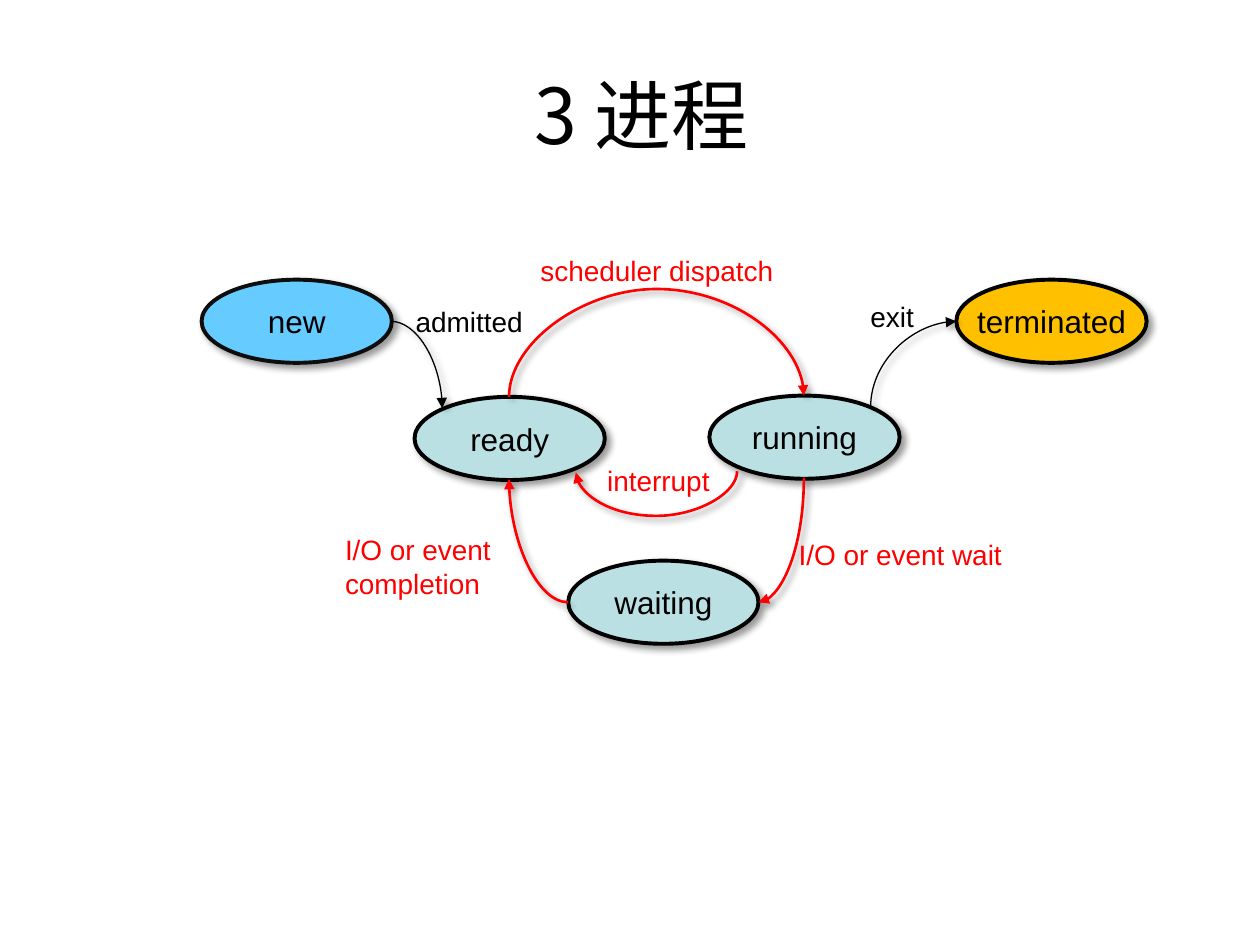
from pptx import Presentation, oxml
from pptx.dml.color import RGBColor
from pptx.enum import shapes, text
from pptx.oxml import ns
from pptx.util import Inches, Pt

COLORS = {
    "black": "000000", "edge": "0D0D0D", "red": "FF0000",
    "blue": "66CCFF", "teal": "BBE0E3", "amber": "FFC000",
}
SHADOW = (
    f'<a:effectLst {ns.nsdecls("a")}>'
    f'<a:outerShdw blurRad="{Pt(4)}" dist="{Pt(3)}" dir="2700000" algn="tl" rotWithShape="0">'
    f'<a:srgbClr val="{COLORS["black"]}"><a:alpha val="40000"/></a:srgbClr>'
    '</a:outerShdw></a:effectLst>'
)
ARROWHEAD = f'<a:tailEnd {ns.nsdecls("a")} type="triangle"/>'
STATE_SIZE = (1.51, 0.66)


def rgb(name):
    return RGBColor.from_string(COLORS[name])


def apply(target, values):
    for name, value in values.items():
        setattr(target, name, value)


class Diagram:
    font = "Arial"
    title_font = "Noto Sans CJK SC"

    def __init__(self, slide):
        self.slide = slide

    def fill_text(self, frame, lines, size, color="black", align=None, font=None, **frame_format):
        apply(frame, frame_format)
        frame.text = "\n".join(lines)
        for paragraph in frame.paragraphs:
            paragraph.alignment = align
            for run in paragraph.runs:
                apply(run.font, {"size": Pt(size), "name": font or self.font})
                run.font.color.rgb = rgb(color)
                if font:
                    east_asian = oxml.parse_xml(f'<a:ea {ns.nsdecls("a")} typeface="{font}"/>')
                    run.font._element.append(east_asian)

    def stroke(self, line, color, width):
        line.color.rgb = rgb(color)
        line.width = Pt(width)

    def add_shadow(self, element):
        element.spPr.append(oxml.parse_xml(SHADOW))

    def text_box(self, left, top, width, height):
        box = self.slide.shapes.add_textbox(*map(Inches, (left, top, width, height)))
        return box.text_frame

    def title(self, words, *place):
        self.fill_text(self.text_box(*place), [words], 44, align=text.PP_ALIGN.CENTER,
                       font=self.title_font, word_wrap=True,
                       vertical_anchor=text.MSO_ANCHOR.MIDDLE)

    def label(self, lines, place, color, wrap=False):
        self.fill_text(self.text_box(*place), lines, 16, color, word_wrap=wrap,
                       auto_size=text.MSO_AUTO_SIZE.SHAPE_TO_FIT_TEXT)

    def state(self, name, left, top, fill, edge="black"):
        oval = self.slide.shapes.add_shape(
            shapes.MSO_SHAPE.FLOWCHART_CONNECTOR,
            *map(Inches, (left, top, *STATE_SIZE)))
        oval.fill.solid()
        oval.fill.fore_color.rgb = rgb(fill)
        self.stroke(oval.line, edge, 2.25)
        self.add_shadow(oval._element)
        self.fill_text(oval.text_frame, [name], 18, align=text.PP_ALIGN.CENTER,
                       word_wrap=False, vertical_anchor=text.MSO_ANCHOR.MIDDLE)

    def transition(self, start, end, rotation, color, width, bulge=None):
        across, down = (abs(b - a) for a, b in zip(start, end))
        middle_x, middle_y = ((a + b) / 2 for a, b in zip(start, end))
        if rotation % 180:
            across, down = down, across
        left, top = middle_x - across / 2, middle_y - down / 2
        arrow = self.slide.shapes.add_connector(
            shapes.MSO_CONNECTOR.CURVE,
            *map(Inches, (left, top, left + across, top + down)))
        arrow.rotation = rotation
        properties = arrow._element.spPr
        geometry = properties.find(ns.qn("a:prstGeom"))
        if bulge is None:
            geometry.set("prst", "curvedConnector2")
        else:
            ratio = round(bulge / across * 100000)
            geometry.get_or_add_avLst().append(oxml.parse_xml(
                f'<a:gd {ns.nsdecls("a")} name="adj1" fmla="val {ratio}"/>'))
        self.stroke(arrow.line, color, width)
        properties.find(ns.qn("a:ln")).append(oxml.parse_xml(ARROWHEAD))
        self.add_shadow(arrow._element)


def main():
    deck = Presentation()
    apply(deck, {"slide_width": Inches(10), "slide_height": Inches(7.5)})
    diagram = Diagram(deck.slides.add_slide(deck.slide_layouts[6]))

    diagram.title("3 进程", 0.59, 0.28, 9, 1.25)

    for state in (
        ("ready", 3.29, 3.15, "teal"),
        ("running", 5.63, 3.14, "teal"),
        ("new", 1.6, 2.22, "blue", "edge"),
        ("terminated", 7.59, 2.22, "amber"),
        ("waiting", 4.51, 4.45, "teal"),
    ):
        diagram.state(*state)

    for transition in (
        ((4.04, 3.15), (6.38, 3.14), 270, "red", 1.5, 0.87),
        ((6.91, 3.23), (7.59, 2.55), 270, "black", 0.75),
        ((4.51, 4.78), (4.04, 3.8), 180, "red", 1.5),
        ((6.38, 3.79), (6.02, 4.78), 90, "red", 1.5),
        ((3.1, 2.55), (3.51, 3.24), 0, "black", 0.75),
        ((5.85, 3.74), (4.57, 3.75), 90, "red", 1.5, 0.36),
    ):
        diagram.transition(*transition)

    for label in (
        (["admitted"], (3.2, 2.37, 1.15, 0.37), "black", True),
        (["scheduler dispatch"], (4.19, 1.96, 2.05, 0.37), "red"),
        (["interrupt"], (4.72, 3.63, 1.02, 0.37), "red"),
        (["exit"], (6.81, 2.33, 0.55, 0.37), "black"),
        (["I/O or event wait"], (6.24, 4.22, 1.82, 0.37), "red"),
        (["I/O or event", "completion"], (2.64, 4.18, 1.57, 0.63), "red", True),
    ):
        diagram.label(*label)

    deck.save("out.pptx")


if __name__ == "__main__":
    main()
